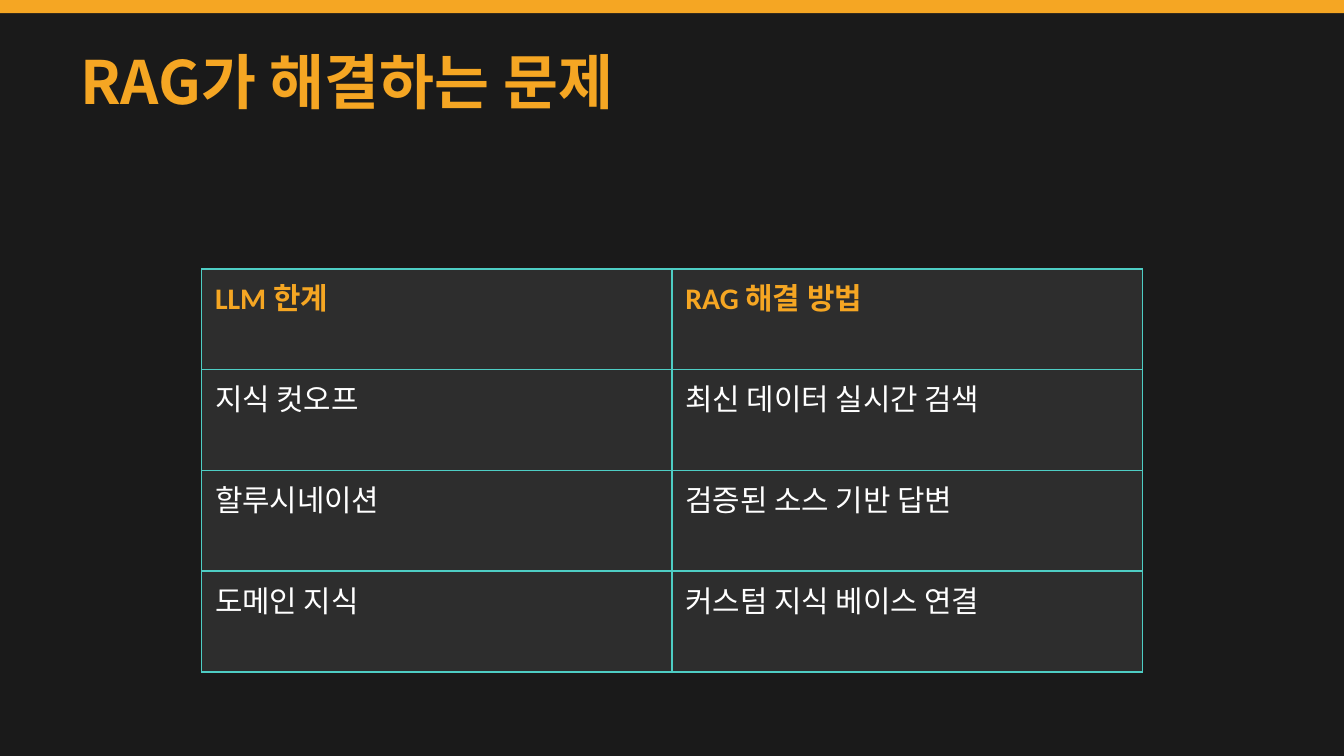
from dataclasses import dataclass

from lxml.etree import SubElement as Sub
from pptx import Presentation
from pptx.dml.color import RGBColor as RGB
from pptx.enum.shapes import MSO_SHAPE as Shape
from pptx.enum.text import MSO_ANCHOR as Anchor, MSO_AUTO_SIZE as Fit, PP_ALIGN as Align
from pptx.oxml.ns import qn
from pptx.util import Cm, Pt


@dataclass(frozen=True)
class Theme:
    back: str = "1A1A1A"
    gold: str = "F5A623"
    teal: str = "4ECDC4"
    panel: str = "2D2D2D"
    white: str = "FFFFFF"
    head: int = 32
    body: int = 16
    sans: str = "Noto Sans CJK KR"
    cell: str = "Calibri"


theme = Theme()


def style(font, name, size, color, bold):
    font.name = name
    font.size = Pt(size)
    font.bold = bold
    font.color.rgb = RGB.from_string(color)


def edge(cell, color, width):
    props = cell._tc.get_or_add_tcPr()
    for side in ("lnL", "lnR", "lnT", "lnB"):
        line = Sub(props, qn(f"a:{side}"), w=str(Pt(width)))
        fill = Sub(line, qn("a:solidFill"))
        Sub(fill, qn("a:srgbClr"), val=color)


deck = Presentation()
deck.slide_width = Cm(25.4)
deck.slide_height = Cm(14.29)
slide = deck.slides.add_slide(deck.slide_layouts[5])
slide.background.fill.solid()
slide.background.fill.fore_color.rgb = RGB.from_string(theme.back)

bar = slide.shapes.add_shape(Shape.RECTANGLE, 0, 0, deck.slide_width, Cm(0.25))
bar.shadow.inherit = False
bar.fill.solid()
bar.fill.fore_color.rgb = RGB.from_string(theme.gold)
bar.line.fill.background()

title = slide.shapes.title
title.left, title.top = Cm(1.27), Cm(0.76)
title.width, title.height = Cm(22.86), Cm(1.52)
frame = title.text_frame
frame.text = "RAG가 해결하는 문제"
frame.auto_size = Fit.NONE
frame.vertical_anchor = Anchor.MIDDLE
frame.paragraphs[0].alignment = Align.LEFT
style(frame.paragraphs[0].font, theme.sans, theme.head, theme.gold, True)

rows = [
    ("LLM 한계", "RAG 해결 방법"),
    ("지식 컷오프", "최신 데이터 실시간 검색"),
    ("할루시네이션", "검증된 소스 기반 답변"),
    ("도메인 지식", "커스텀 지식 베이스 연결"),
]
grid = slide.shapes.add_table(
    len(rows), len(rows[0]), Cm(3.81), Cm(5.08), Cm(17.78), Cm(7.62)
).table
for r, row in enumerate(rows):
    for c, text in enumerate(row):
        cell = grid.cell(r, c)
        cell.text = text
        edge(cell, theme.teal, 1)
        cell.fill.solid()
        cell.fill.fore_color.rgb = RGB.from_string(theme.panel)
        color = theme.white if r else theme.gold
        style(cell.text_frame.paragraphs[0].font, theme.cell, theme.body, color, r == 0)

deck.save("out.pptx")
